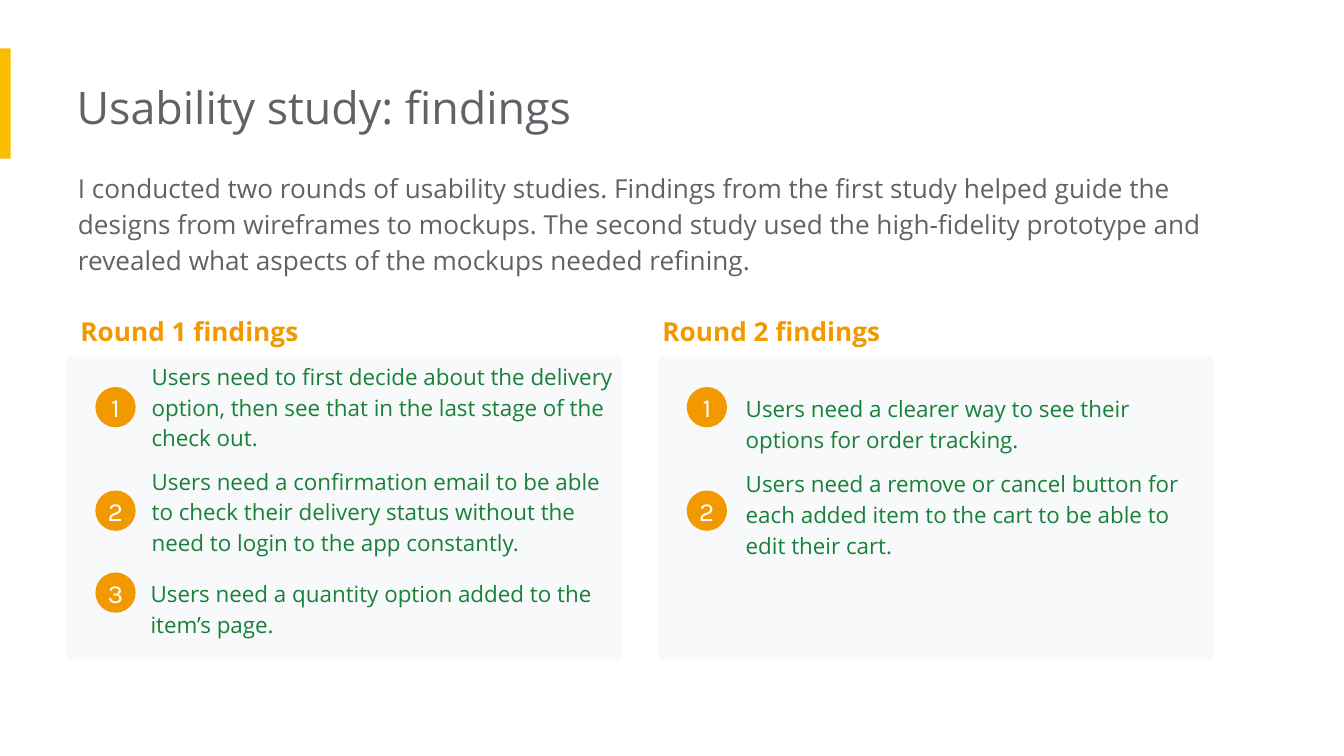
from dataclasses import dataclass

from pptx import Presentation
from pptx.dml.color import RGBColor
from pptx.enum.shapes import MSO_SHAPE
from pptx.enum.text import MSO_ANCHOR, MSO_AUTO_SIZE, PP_ALIGN
from pptx.util import Inches, Pt

RECTANGLE = MSO_SHAPE.RECTANGLE
OVAL = MSO_SHAPE.OVAL
MIDDLE = MSO_ANCHOR.MIDDLE
CENTER = PP_ALIGN.CENTER
GROW = MSO_AUTO_SIZE.SHAPE_TO_FIT_TEXT
BLANK_LAYOUT = 6


@dataclass(frozen=True)
class Theme:
    accent: str = "FBBC04"
    gray: str = "5F6368"
    orange: str = "F29900"
    green: str = "188038"
    panel: str = "F8F9FA"
    white: str = "FFFFFF"
    text_font: str = "Open Sans"
    badge_font: str = "Karla"
    title_size: int = 24
    body_size: int = 14
    finding_size: int = 12
    line_spacing: float = 1.15


THEME = Theme()
SLIDE_WIDTH = 10
SLIDE_HEIGHT = SLIDE_WIDTH * 9 / 16
INSET = 0.1
BADGE_SIZE = 0.3
BADGE_OFFSET = 0.21
BADGE_TOPS = (2.88, 3.65, 4.26)
PANEL_TOP, PANEL_WIDTH, PANEL_HEIGHT = 2.65, 4.13, 2.26
HEADING_TOP, HEADING_HEIGHT = 2.21, 0.44
FINDING_WIDTH = 3.65

# Each finding: left, top, width and height of its text box, left inset, text.
ROUNDS = (
    {
        "heading": "Round 1 findings",
        "heading_left": 0.5,
        "panel_left": 0.5,
        "findings": (
            ((1.03, 2.57, 3.84, 0.87), INSET,
             "Users need to first decide about the delivery option, "
             "then see that in the last stage of the check out."),
            ((1.03, 3.35, FINDING_WIDTH, 1.13), INSET,
             "Users need a confirmation email to be able to check their "
             "delivery status without the need to login to the app constantly."),
            ((1, 4.19, FINDING_WIDTH, 0.9), 0.12,
             "Users need a quantity option added to the item’s page."),
        ),
    },
    {
        "heading": "Round 2 findings",
        "heading_left": 4.83,
        "panel_left": 4.9,
        "findings": (
            ((5.45, 2.81, FINDING_WIDTH, 0.9), INSET,
             "Users need a clearer way to see their options for order tracking."),
            ((5.45, 3.37, FINDING_WIDTH, 0.87), INSET,
             "Users need a remove or cancel button for each added item "
             "to the cart to be able to edit their cart."),
        ),
    },
)


def set_attributes(target, values):
    for name, value in values.items():
        setattr(target, name, value)


def write_text(shape, text, size, color, font=THEME.text_font, bold=False,
               left_inset=INSET, inset=INSET, frame_format=None, paragraph_format=None):
    frame = shape.text_frame
    set_attributes(frame, {
        "word_wrap": True,
        "margin_left": Inches(left_inset),
        "margin_top": Inches(inset),
        "margin_right": Inches(inset),
        "margin_bottom": Inches(inset),
        **(frame_format or {}),
    })
    paragraph = frame.paragraphs[0]
    set_attributes(paragraph, paragraph_format or {})
    run = paragraph.add_run()
    run.text = text
    set_attributes(run.font, {"name": font, "size": Pt(size), "bold": bold})
    run.font.color.rgb = RGBColor.from_string(color)


def add_text(slide, box, text, size, color, line_spacing=THEME.line_spacing, **options):
    text_box = slide.shapes.add_textbox(*map(Inches, box))
    write_text(text_box, text, size, color, frame_format={"auto_size": GROW},
               paragraph_format={"line_spacing": line_spacing}, **options)


def add_filled_shape(slide, preset, box, color):
    shape = slide.shapes.add_shape(preset, *map(Inches, box))
    shape.shadow.inherit = False
    shape.fill.solid()
    shape.fill.fore_color.rgb = RGBColor.from_string(color)
    shape.line.fill.background()
    return shape


def add_badge(slide, left, top, number):
    badge = add_filled_shape(slide, OVAL, (left, top, BADGE_SIZE, BADGE_SIZE), THEME.orange)
    write_text(badge, str(number), THEME.body_size, THEME.white, font=THEME.badge_font,
               left_inset=0, inset=0, frame_format={"vertical_anchor": MIDDLE},
               paragraph_format={"alignment": CENTER})


def add_round(slide, heading, heading_left, panel_left, findings):
    """Add a heading above a panel of numbered findings."""
    add_filled_shape(slide, RECTANGLE,
                     (panel_left, PANEL_TOP, PANEL_WIDTH, PANEL_HEIGHT), THEME.panel)
    add_text(slide, (heading_left, HEADING_TOP, FINDING_WIDTH, HEADING_HEIGHT),
             heading, THEME.body_size, THEME.orange, bold=True)
    numbered_findings = enumerate(zip(BADGE_TOPS, findings), start=1)
    for number, (badge_top, (box, left_inset, text)) in numbered_findings:
        add_text(slide, box, text, THEME.finding_size, THEME.green, left_inset=left_inset)
        add_badge(slide, panel_left + BADGE_OFFSET, badge_top, number)


def main():
    presentation = Presentation()
    presentation.slide_width = Inches(SLIDE_WIDTH)
    presentation.slide_height = Inches(SLIDE_HEIGHT)
    slide = presentation.slides.add_slide(presentation.slide_layouts[BLANK_LAYOUT])

    add_filled_shape(slide, RECTANGLE, (0, 0.36, 0.08, 0.82), THEME.accent)
    add_text(slide, (0.57, 0.49, 6.73, 0.61), "Usability study: findings",
             THEME.title_size, THEME.gray, line_spacing=1.0, left_inset=0)
    add_text(slide, (0.58, 1.15, 8.61, 1.25),
             "I conducted two rounds of usability studies. Findings from the first study "
             "helped guide the designs from wireframes to mockups. The second study used "
             "the high-fidelity prototype and revealed what aspects of the mockups needed "
             "refining.",
             THEME.body_size, THEME.gray, left_inset=0)
    for study_round in ROUNDS:
        add_round(slide, **study_round)

    presentation.save("out.pptx")


if __name__ == "__main__":
    main()
